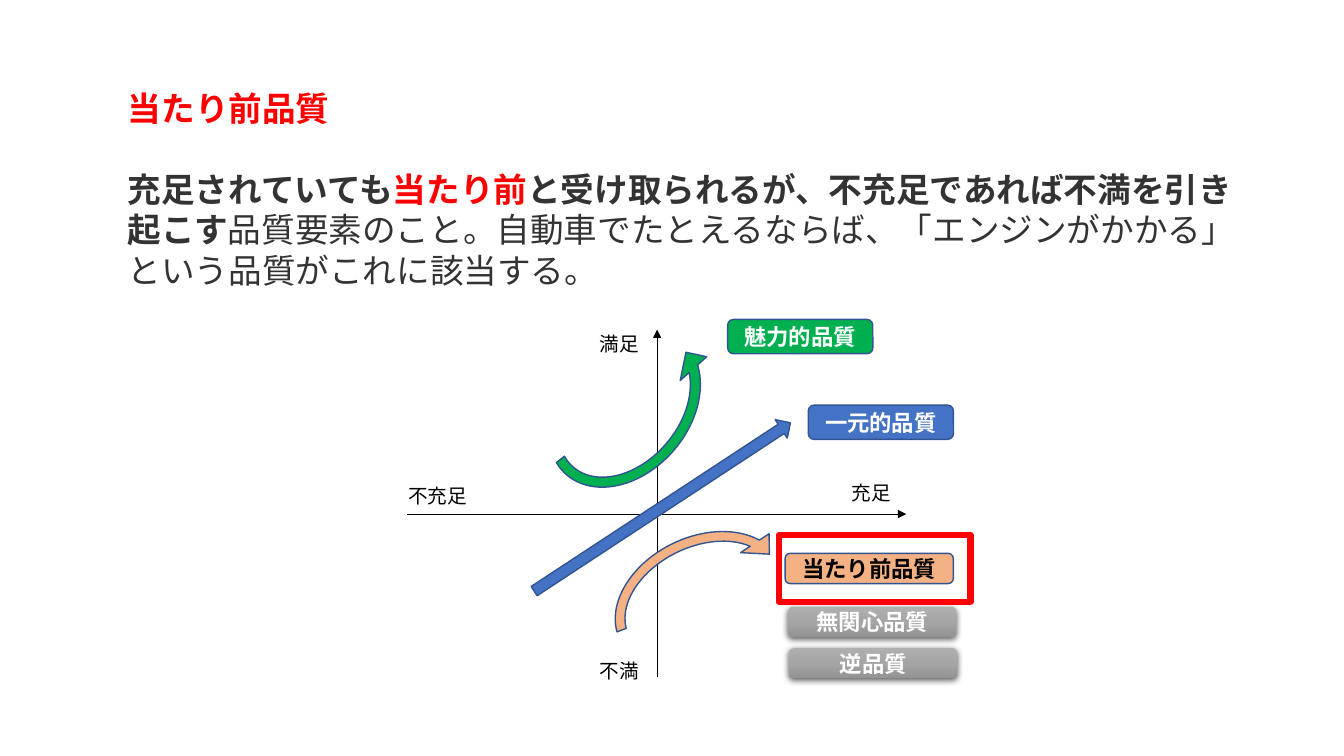
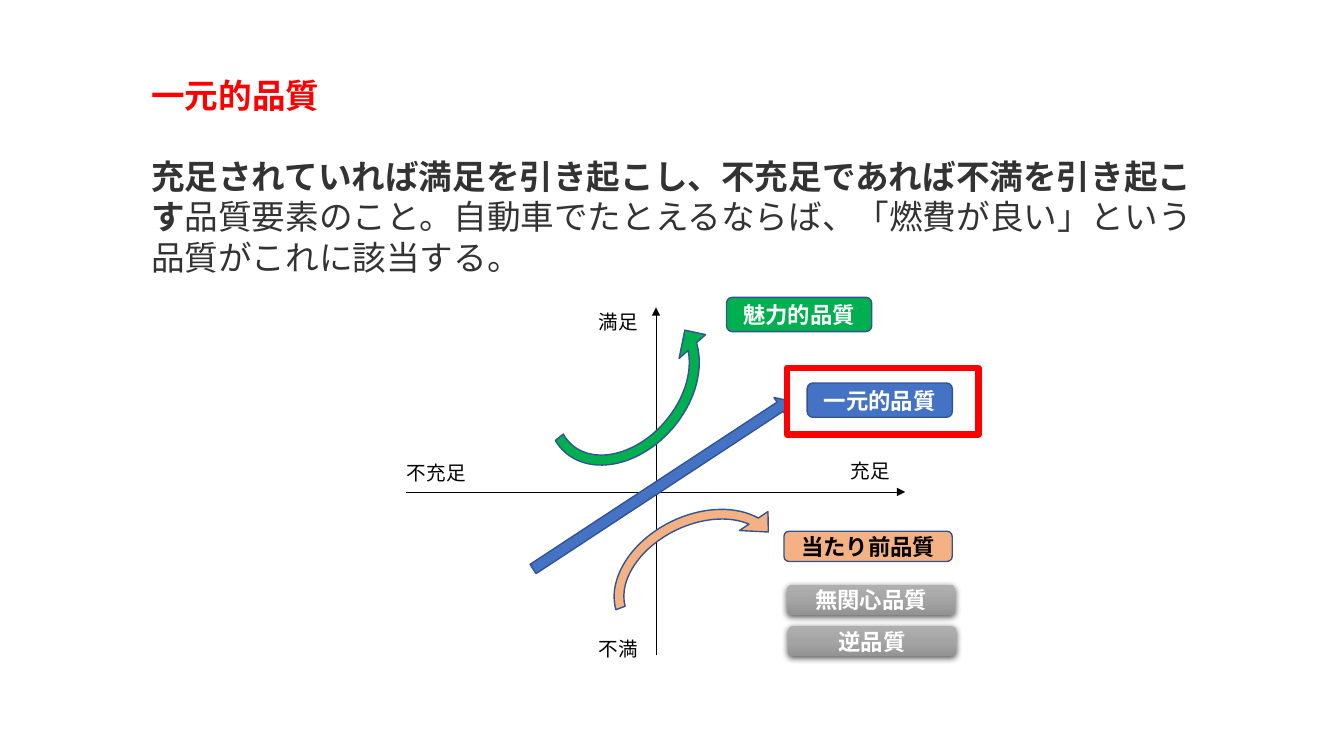
from copy import deepcopy
from dataclasses import dataclass

from lxml import etree
from pptx import Presentation
from pptx.dml.color import RGBColor
from pptx.enum.lang import MSO_LANGUAGE_ID as LANG
from pptx.enum.shapes import MSO_CONNECTOR as CONN, MSO_SHAPE as SHAPE
from pptx.enum.text import MSO_ANCHOR as ANCHOR, MSO_AUTO_SIZE as AUTO, PP_ALIGN as ALIGN
from pptx.oxml.ns import qn
from pptx.util import Pt


@dataclass(frozen=True)
class Theme:
    font: str = "Noto Sans CJK JP"
    body_font: str = "Arial"
    red: str = "FF0000"
    text: str = "333333"
    black: str = "000000"
    white: str = "FFFFFF"
    green: str = "00B050"
    blue: str = "4472C4"
    orange: str = "F4B183"
    outline: str = "325491"
    grays: tuple = ((0, "AFAFAF"), (0.5, "A5A5A5"), (1, "939393"))
    heading: int = 24
    pill: int = 16
    label: int = 14
    heading_pitch: float = 28.8
    label_pitch: float = 18


T = Theme()


def add_run(p, text, size, color, bold=False, font=T.font):
    r = p.add_run()
    r.text = text
    f = r.font
    f.size, f.bold, f.name = Pt(size), bold, font
    f.color.rgb = RGBColor.from_string(color)
    f.language_id = LANG.JAPANESE
    # East Asian glyphs take their own typeface
    r.font.fill
    latin = r._r.rPr.find(qn("a:latin"))
    ea = etree.Element(qn("a:ea"), typeface=T.font)
    latin.addnext(ea)


def add_shape(s, kind, box, fill=None, line=None, width=1):
    sp = s.shapes.add_shape(kind, *map(Pt, box))
    sp.shadow.inherit = False
    if fill:
        sp.fill.solid()
        sp.fill.fore_color.rgb = RGBColor.from_string(fill)
    else:
        sp.fill.background()
    if line:
        sp.line.color.rgb = RGBColor.from_string(line)
        sp.line.width = Pt(width)
    else:
        sp.line.fill.background()
    return sp


# Slide content: heading place, text width, diagram origin, highlight offset
SLIDES = [
    dict(title="当たり前品質", at=(84.2, 59.5), width=808, origin=(469.4, 367.2),
         highlight=(87.1, 15.1),
         body=[("充足されていても", T.text, True), ("当たり前", T.red, True),
               ("と受け取られるが、不充足であれば不満を引き起こす", T.text, True),
               ("品質要素のこと。自動車でたとえるならば、「エンジンがかかる」"
                "という品質がこれに該当する。", T.text, False)]),
    dict(title="一元的品質", at=(100.8, 50.2), width=779, origin=(468.6, 351.4),
         highlight=(93.6, -88.6),
         body=[("充足されていれば満足を引き起こし、不充足であれば不満を引き起こす",
                T.text, True),
               ("品質要素のこと。自動車でたとえるならば、「燃費が良い」"
                "という品質がこれに該当する。", T.text, False)]),
]

# Diagram parts, measured from the crossing of the axes
AXES = [(-178.6, 0, 178, 0), (0, 116.6, 0, -131.8)]
ARROWS = [  # kind, box, rotation, fill, flipped, adjustments
    (SHAPE.RIGHT_ARROW, (-105.8, -13, 219, 15.8), 326.7, T.blue, False, ()),
    (SHAPE.CIRCULAR_ARROW, (-95.8, -131.8, 144.7, 111.6), 310.6, T.green, True,
     (0.065, 7.518, 204.015, 101.766, 0.114)),
    (SHAPE.CIRCULAR_ARROW, (-41.8, 7.9, 144.7, 107.3), 333.9, T.orange, False,
     (0.065, 7.518, 204.015, 111.124, 0.114)),
]
LABELS = [("満足", -48.2, -134.6, 50.4), ("不満", -48.2, 98.6, 50.4),
          ("不充足", -185, -26.6, 60.5), ("充足", 131.8, -28.1, 50.4)]
PILLS = [  # text, box, fill (None means the gray gradient), text colour
    ("一元的品質", (108, -77.8, 103.7, 24.5), T.blue, T.white),
    ("当たり前品質", (91.4, 28.1, 120.2, 21.6), T.orange, T.black),
    ("魅力的品質", (50.4, -139, 103.7, 24.5), T.green, T.white),
    ("無関心品質", (93.6, 66.2, 120.2, 21.6), None, T.white),
    ("逆品質", (94.3, 95.8, 120.2, 21.6), None, T.white),
]

prs = Presentation()
prs.slide_width, prs.slide_height = Pt(960), Pt(540)

for item in SLIDES:
    s = prs.slides.add_slide(prs.slide_layouts[5])
    x, y = item["at"]
    ox, oy = item["origin"]

    # Heading and definition, one line apart
    title = s.shapes.title
    title.left, title.top, title.width, title.height = map(Pt, (x, y, item["width"], 36))
    body = s.shapes.add_textbox(*map(Pt, (x, y + 2 * T.heading_pitch, item["width"], 94)))
    parts = ((title, [(item["title"], T.red, True)], T.font),
             (body, item["body"], T.body_font))
    for sp, runs, font in parts:
        tf = sp.text_frame
        tf.word_wrap, tf.auto_size, tf.vertical_anchor = True, AUTO.NONE, ANCHOR.TOP
        p = tf.paragraphs[0]
        p.alignment, p.line_spacing = ALIGN.LEFT, Pt(T.heading_pitch)
        for text, color, bold in runs:
            add_run(p, text, T.heading, color, bold, font)

    # Axes
    for x1, y1, x2, y2 in AXES:
        axis = s.shapes.add_connector(CONN.STRAIGHT, Pt(ox + x1), Pt(oy + y1),
                                      Pt(ox + x2), Pt(oy + y2))
        axis.line.color.rgb = RGBColor.from_string(T.black)
        axis.line.width = Pt(0.5)
        pr = axis.element.spPr
        etree.SubElement(pr.find(qn("a:ln")), qn("a:tailEnd"), type="triangle")
        etree.SubElement(pr, qn("a:effectLst"))

    # Quality curves
    for kind, (dx, dy, w, h), angle, fill, flipped, adjustments in ARROWS:
        sp = add_shape(s, kind, (ox + dx, oy + dy, w, h), fill, T.outline)
        sp.rotation = angle
        for i, value in enumerate(adjustments):
            sp.adjustments[i] = value
        if flipped:
            sp.element.spPr.find(qn("a:xfrm")).set("flipV", "1")

    # Axis labels
    for text, dx, dy, w in LABELS:
        label = s.shapes.add_textbox(*map(Pt, (ox + dx, oy + dy, w, 24.5)))
        label.text_frame.word_wrap = True
        p = label.text_frame.paragraphs[0]
        p.line_spacing = Pt(T.label_pitch)
        add_run(p, text, T.label, T.black)

    # Quality names
    for text, (dx, dy, w, h), fill, color in PILLS:
        sp = add_shape(s, SHAPE.ROUNDED_RECTANGLE, (ox + dx, oy + dy, w, h),
                       fill, T.outline if fill else None)
        if not fill:
            sp.fill.gradient()
            sp.fill.gradient_angle = 270
            pr = sp.element.spPr
            stops = pr.find(".//" + qn("a:gsLst"))
            stops.append(deepcopy(stops[-1]))
            for stop, (position, gray) in zip(sp.fill.gradient_stops, T.grays):
                stop.position = position
                stop.color.rgb = RGBColor.from_string(gray)
            shadow = etree.SubElement(pr.find(qn("a:effectLst")), qn("a:outerShdw"),
                                      blurRad=str(Pt(4.5)), dist=str(Pt(1.5)),
                                      dir="5400000", algn="ctr", rotWithShape="0")
            tint = etree.SubElement(shadow, qn("a:srgbClr"), val=T.black)
            etree.SubElement(tint, qn("a:alpha"), val="63000")
        tf = sp.text_frame
        tf.vertical_anchor = ANCHOR.MIDDLE
        p = tf.paragraphs[0]
        p.alignment = ALIGN.CENTER
        add_run(p, text, T.pill, color, True)

    # Frame around the quality in focus
    dx, dy = item["highlight"]
    add_shape(s, SHAPE.RECTANGLE, (ox + dx, oy + dy, 136.8, 47.5), line=T.red, width=4.5)

prs.save("out.pptx")
